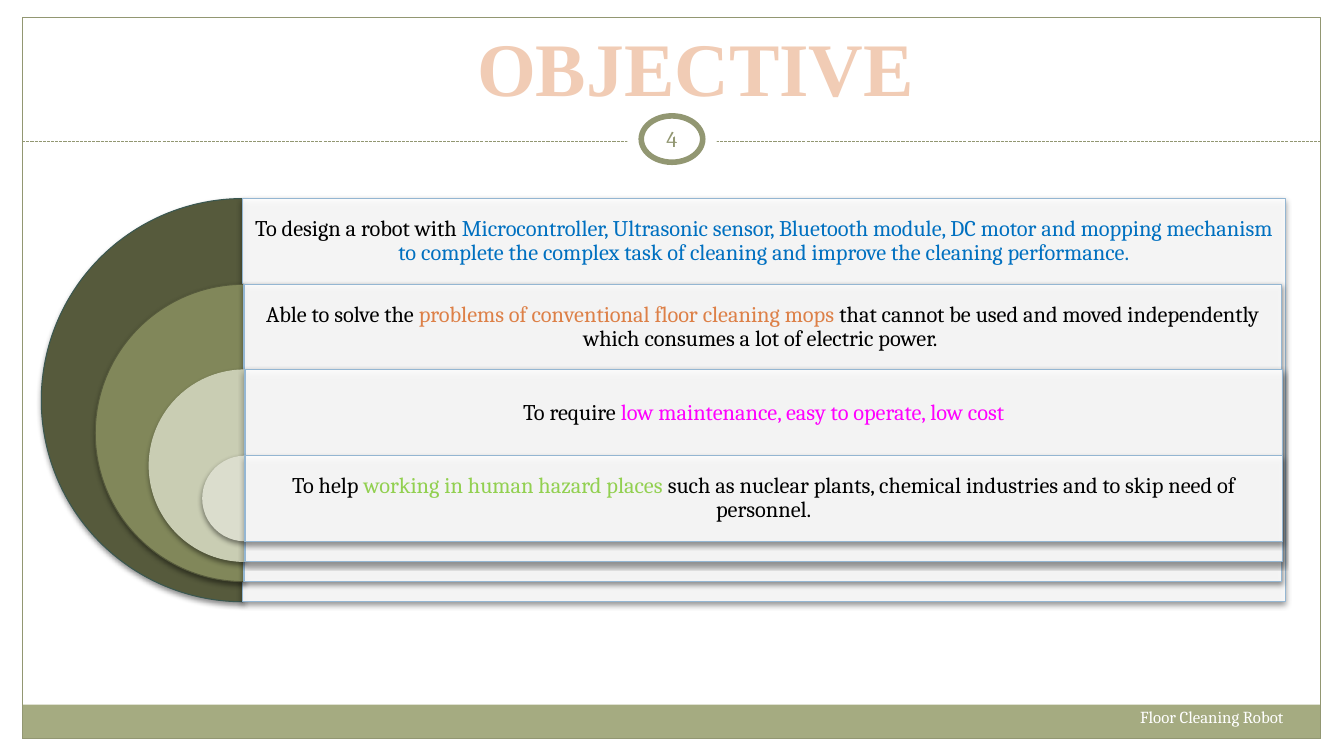
"""Build the objective slide of the floor cleaning robot presentation."""
import pptx
import pptx.util
import pptx.dml.color
import pptx.enum.shapes
import pptx.enum.text
import pptx.enum.dml
import pptx.oxml
import pptx.oxml.ns

Inches, Pt = pptx.util.Inches, pptx.util.Pt
RGBColor = pptx.dml.color.RGBColor
Shape = pptx.enum.shapes.MSO_SHAPE
Align = pptx.enum.text.PP_ALIGN
Anchor = pptx.enum.text.MSO_ANCHOR

WHITE = RGBColor(0xFF, 0xFF, 0xFF)
BLACK = RGBColor(0, 0, 0)
SAGE = RGBColor(0xA5, 0xAB, 0x81)
OLIVE = RGBColor(0x92, 0x97, 0x72)
DARK_OLIVE = RGBColor(0x56, 0x5A, 0x3C)
MID_OLIVE = RGBColor(0x81, 0x87, 0x5A)
PALE_OLIVE = RGBColor(0xC9, 0xCD, 0xB3)
LIGHT_OLIVE = RGBColor(0xDB, 0xDD, 0xCD)
DARK_TEAL = RGBColor(0x3A, 0x57, 0x50)
BAND_BLUE = RGBColor(0x94, 0xB6, 0xD2)
BLUE = RGBColor(0x00, 0x70, 0xC0)
ORANGE = RGBColor(0xDD, 0x80, 0x47)
MAGENTA = RGBColor(0xFF, 0x00, 0xFF)
GREEN = RGBColor(0x92, 0xD0, 0x50)
PEACH = RGBColor(0xF1, 0xCC, 0xB5)

TITLE = "OBJECTIVE"
FOOTER = "Floor Cleaning Robot"
SLIDE_NUMBER = "4"

FRAME_PARTS = [
    (Shape.RECTANGLE, (0, 0, 13.33, 1.52), WHITE, None, 0),
    (Shape.RECTANGLE, (0, 0, 0.22, 7.5), WHITE, None, 0),
    (Shape.RECTANGLE, (13.11, 0, 0.22, 7.5), WHITE, None, 0),
    (Shape.RECTANGLE, (0.22, 6.99, 12.88, 0.34), SAGE, None, 0),
    (Shape.RECTANGLE, (0.22, 0.17, 12.88, 7.16), None, OLIVE, 0.75),
]
BADGE_PARTS = [
    (Shape.OVAL, (6.22, 1.05, 0.89, 0.67), WHITE, None, 0),
    (Shape.OVAL, (6.36, 1.15, 0.61, 0.46), WHITE, OLIVE, 4),
]

OBJECTIVES = [
    (2.41, 10.34, DARK_OLIVE, DARK_TEAL, [
        ("To design a robot with ", BLACK),
        ("Microcontroller, Ultrasonic sensor, Bluetooth module, DC motor and mopping "
         "mechanism to complete the complex task of cleaning and improve the cleaning "
         "performance.", BLUE)]),
    (2.42, 10.29, MID_OLIVE, DARK_OLIVE, [
        ("Able to solve the ", BLACK),
        ("problems of conventional floor cleaning mops ", ORANGE),
        ("that cannot be used and moved independently which consumes a lot of "
         "electric power. ", BLACK)]),
    (2.43, 10.29, PALE_OLIVE, PALE_OLIVE, [
        ("To require ", BLACK),
        ("low maintenance, easy to operate, low cost", MAGENTA)]),
    (2.43, 10.29, LIGHT_OLIVE, None, [
        ("To help ", BLACK),
        ("working in human hazard places ", GREEN),
        ("such as nuclear plants, chemical industries and to skip need of personnel.",
         BLACK)]),
]
FIRST_TOP = 1.97
ROW_HEIGHT = 0.85
SIZE_STEP = 1.05

NAMESPACE = pptx.oxml.ns.nsdecls("a")
SHADOW = (f'<a:effectLst {NAMESPACE}><a:outerShdw blurRad="50800" dist="25400" '
          'dir="5400000" rotWithShape="0"><a:srgbClr val="000000">'
          '<a:alpha val="45000"/></a:srgbClr></a:outerShdw></a:effectLst>')


def add_part(slide, kind, box, fill, line, line_width):
    """Add a preset shape without a shadow."""
    shape = slide.shapes.add_shape(kind, *map(Inches, box))
    shape.shadow.inherit = False
    if fill is None:
        shape.fill.background()
    else:
        shape.fill.solid()
        shape.fill.fore_color.rgb = fill
    if line is None:
        shape.line.fill.background()
    else:
        shape.line.color.rgb = line
        shape.line.width = Pt(line_width)
    return shape


def add_shadow(shape):
    """Give a shape the soft shadow used in the diagram."""
    effects = shape.element.spPr.find(pptx.oxml.ns.qn("a:effectLst"))
    effects.getparent().replace(effects, pptx.oxml.parse_xml(SHADOW))


def add_text(slide, box, runs, size, align, anchor, margins):
    """Add a text box holding one paragraph of coloured runs."""
    frame = slide.shapes.add_textbox(*map(Inches, box)).text_frame
    frame.word_wrap = True
    frame.vertical_anchor = anchor
    (frame.margin_left, frame.margin_top,
     frame.margin_right, frame.margin_bottom) = map(Inches, margins)
    paragraph = frame.paragraphs[0]
    paragraph.alignment = align
    for text, color in runs:
        run = paragraph.add_run()
        run.text = text
        run.font.name = "Cambria"
        run.font.size = Pt(size)
        run.font.color.rgb = color
    return paragraph


def add_divider(slide):
    """Draw the dashed line under the title."""
    divider = slide.shapes.add_connector(
        pptx.enum.shapes.MSO_CONNECTOR.STRAIGHT,
        Inches(0.22), Inches(1.4), Inches(13.1), Inches(1.4))
    divider.line.color.rgb = OLIVE
    divider.line.width = Pt(0.75)
    divider.line.dash_style = pptx.enum.dml.MSO_LINE.SQUARE_DOT
    divider.element.spPr.append(
        pptx.oxml.parse_xml(f"<a:effectLst {NAMESPACE}/>"))


def add_objective(slide, index, left, width, fill, outline, runs):
    """Add one nested half circle with its band and text."""
    top = FIRST_TOP + index * ROW_HEIGHT
    size = ROW_HEIGHT + (len(OBJECTIVES) - 1 - index) * SIZE_STEP
    pie = add_part(slide, Shape.PIE, (left - size / 2, top, size, size),
                   fill, outline, 0.75)
    pie.adjustments[0], pie.adjustments[1] = 54, 162
    add_shadow(pie)
    band = add_part(slide, Shape.RECTANGLE, (left, top, width, size),
                    WHITE, BAND_BLUE, 0.75)
    add_shadow(band)
    color = band.element.spPr.find(pptx.oxml.ns.qn("a:solidFill"))[0]
    color.append(pptx.oxml.parse_xml(f'<a:alpha {NAMESPACE} val="90000"/>'))
    paragraph = add_text(slide, (left, top, width, ROW_HEIGHT), runs, 16,
                         Align.CENTER, Anchor.MIDDLE, [0.07] * 4)
    paragraph.line_spacing = 0.9


def format_title(slide):
    """Place and style the title in front of the header."""
    title = slide.shapes.title
    title.left, title.top, title.width, title.height = map(
        Inches, (4.61, 0.16, 4.58, 1.01))
    frame = title.text_frame
    frame.text = TITLE
    frame.word_wrap = False
    frame.auto_size = pptx.enum.text.MSO_AUTO_SIZE.SHAPE_TO_FIT_TEXT
    frame.vertical_anchor = Anchor.TOP
    paragraph = frame.paragraphs[0]
    paragraph.alignment = Align.CENTER
    font = paragraph.runs[0].font
    font.name = "Times New Roman"
    font.size = Pt(54)
    font.bold = True
    font.color.rgb = PEACH
    paragraph.runs[0].font.fill
    outline = pptx.oxml.parse_xml(
        f'<a:ln {NAMESPACE} w="22225"><a:solidFill><a:srgbClr val="{ORANGE}"/>'
        '</a:solidFill></a:ln>')
    paragraph.runs[0].font._element.insert(0, outline)
    title.element.getparent().append(title.element)


def main():
    """Build and save the slide."""
    presentation = pptx.Presentation()
    presentation.slide_width, presentation.slide_height = Inches(13.33), Inches(7.5)
    slide = presentation.slides.add_slide(presentation.slide_layouts[5])
    for part in FRAME_PARTS:
        add_part(slide, *part)
    add_divider(slide)
    for part in BADGE_PARTS:
        add_part(slide, *part)
    for index, objective in enumerate(OBJECTIVES):
        add_objective(slide, index, *objective)
    add_text(slide, (6.33, 1.13, 0.67, 0.48), [(SLIDE_NUMBER, OLIVE)], 16,
             Align.CENTER, Anchor.MIDDLE, [0.05] * 4)
    add_text(slide, (11.21, 6.96, 1.91, 0.37), [(FOOTER, WHITE)], 12,
             Align.LEFT, Anchor.TOP, (0.1, 0.05, 0.1, 0.05))
    format_title(slide)
    presentation.save("out.pptx")


if __name__ == "__main__":
    main()
